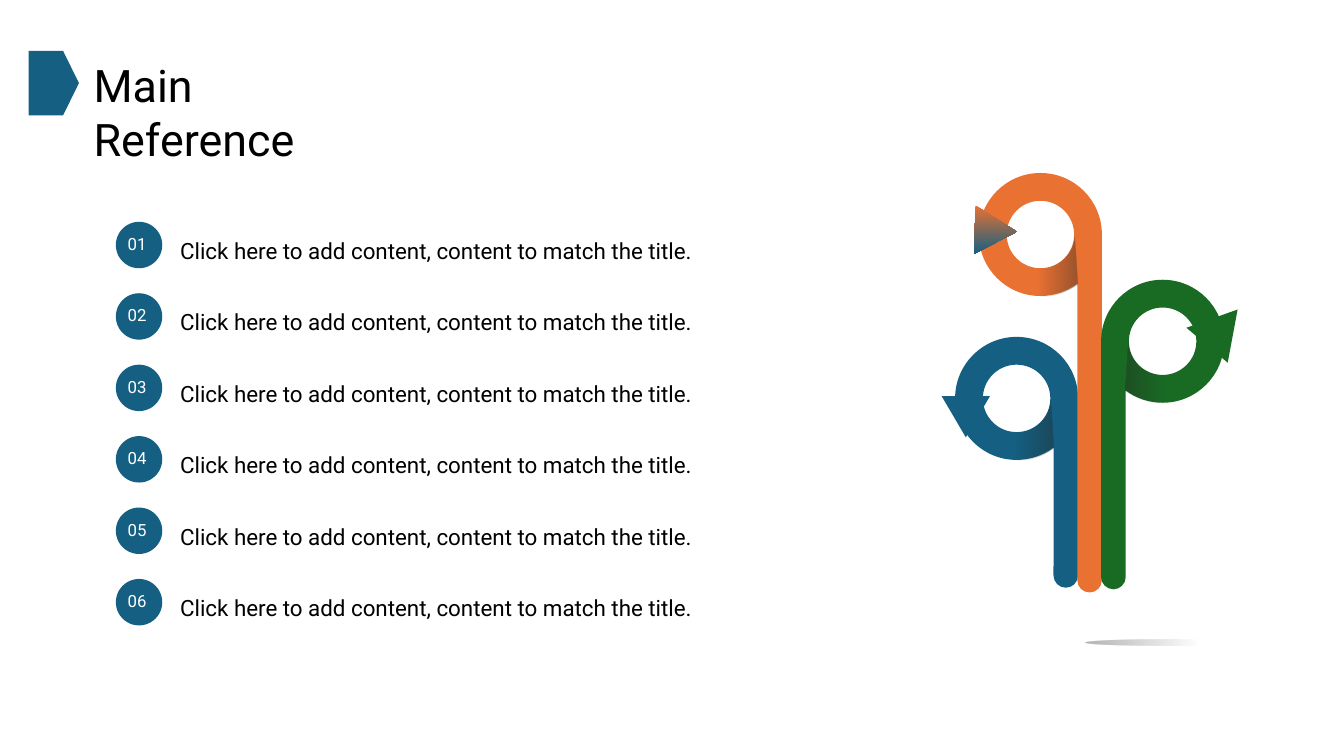
from math import cos, radians, sin, tan

from lxml import etree
from pptx import Presentation
from pptx.dml.color import RGBColor
from pptx.enum.shapes import MSO_SHAPE
from pptx.enum.text import MSO_AUTO_SIZE
from pptx.oxml.ns import qn
from pptx.util import Cm, Pt

PENTAGON = MSO_SHAPE.PENTAGON
OVAL = MSO_SHAPE.OVAL
GROW = MSO_AUTO_SIZE.SHAPE_TO_FIT_TEXT

BLUE, ORANGE, GREEN = "156082", "E97132", "196B24"
BLACK, WHITE, SHADE = "000000", "FFFFFF", "262626"

RING_OUTER, RING_INNER, STEM_WIDTH = 1.55, 0.85, 0.62
STEM_INNER = RING_OUTER - STEM_WIDTH
JOIN_ANGLE, SHADE_END = 53, 121


def rgb(color):
    return RGBColor.from_string(color)


def corners(*points):
    """Straight steps, each holding one point."""
    return [(point,) for point in points]


def arc(center, radius, start, end, side=1):
    """A straight step to the start, then Bezier steps split at each quadrant.

    Angles run clockwise from the stem side.
    """
    def place(angle, reach=0):
        a = radians(angle)
        return (center[0] + side * radius * (cos(a) - reach * sin(a)),
                center[1] + radius * (sin(a) + reach * cos(a)))

    low, high = sorted((start, end))
    quadrants = [a for a in range(-360, 361, 90) if low < a < high]
    angles = sorted([start, *quadrants, end], reverse=start > end)
    steps = corners(place(start))
    for a, b in zip(angles, angles[1:]):
        reach = 4 / 3 * tan(radians(b - a) / 4)
        steps.append((place(a, reach), place(b, -reach), place(b)))
    return steps


class Deck:
    font = "Roboto"

    def __init__(self):
        self.presentation = Presentation()
        self.presentation.slide_width = Cm(33.87)
        self.presentation.slide_height = Cm(19.05)
        blank = self.presentation.slide_layouts[6]
        self.slide = self.presentation.slides.add_slide(blank)

    def paint(self, shape, color):
        shape.shadow.inherit = False
        shape.line.fill.background()
        shape.fill.solid()
        shape.fill.fore_color.rgb = rgb(color)
        return shape

    def fade(self, shape, stops, angle):
        """Gradient from (position, color, opacity) stops, angle counterclockwise."""
        shape.fill.gradient()
        shape.fill.gradient_angle = angle
        for stop, (position, color, opacity) in zip(shape.fill.gradient_stops, stops):
            stop.position = position
            stop.color.rgb = rgb(color)
        colors = shape._element.spPr.findall(".//" + qn("a:gs") + "/" + qn("a:srgbClr"))
        for element, (position, color, opacity) in zip(colors, stops):
            if opacity < 1:
                alpha = etree.SubElement(element, qn("a:alpha"))
                alpha.set("val", str(round(opacity * 100000)))

    def preset(self, kind, left, top, width, height, color):
        shape = self.slide.shapes.add_shape(
            kind, Cm(left), Cm(top), Cm(width), Cm(height))
        return self.paint(shape, color)

    def outline(self, contours, color):
        """Closed shape from contours of straight and Bezier steps."""
        builder = None
        for contour in contours:
            start, *rest = [(Cm(x), Cm(y)) for step in contour for x, y in step]
            if builder is None:
                builder = self.slide.shapes.build_freeform(*start, scale=1.0)
            else:
                builder.move_to(*start)
            builder.add_line_segments(rest, close=True)
        shape = builder.convert_to_shape()
        self.bend(shape, [step for contour in contours for step in contour[1:]])
        return self.paint(shape, color)

    def bend(self, shape, steps):
        """Merge the three lines of each Bezier step into one curve."""
        lines = iter(shape._element.spPr.findall(".//" + qn("a:lnTo")))
        for step in steps:
            first, *others = [next(lines) for point in step]
            if others:
                first.addprevious(curve := etree.Element(qn("a:cubicBezTo")))
                for line in (first, *others):
                    curve.append(line[0])
                    line.getparent().remove(line)

    def text(self, words, left, top, width, height, size, color, spacing=None):
        box = self.slide.shapes.add_textbox(Cm(left), Cm(top), Cm(width), Cm(height))
        frame = box.text_frame
        frame.word_wrap = True
        frame.auto_size = GROW
        paragraph = frame.paragraphs[0]
        if spacing:
            paragraph.line_spacing = spacing
        run = paragraph.add_run()
        run.text = words
        run.font.name = self.font
        run.font.size = Pt(size)
        run.font.color.rgb = rgb(color)

    def item(self, number, top):
        self.preset(OVAL, 2.92, top, 1.17, 1.17, BLUE)
        self.text(f"{number:02}", 2.97, top + 0.17, 1.07, 0.76, 12, WHITE)
        self.text("Click here to add content, content to match the title.",
                  4.29, top - 0.42, 20.22, 1.45, 16, BLACK, spacing=2.0)

    def curl(self, center, bottom, side, color):
        """Ring running into a stem; side is 1 for a stem on the right, -1 on the left."""
        foot = (center[0] + side * (STEM_INNER + STEM_WIDTH / 2), bottom - STEM_WIDTH / 2)
        ring = arc(center, RING_OUTER, 0, JOIN_ANGLE - 360, side)
        stem_end = arc(foot, STEM_WIDTH / 2, 180, 0, side)
        hole = arc(center, RING_INNER, 0, 360)
        self.outline([ring + stem_end, hole], color)

    def curl_shade(self, center, side):
        outer = arc(center, RING_OUTER, JOIN_ANGLE, SHADE_END, side)
        inner = arc(center, RING_INNER, SHADE_END, 0, side)
        shade = self.outline([outer + inner], SHADE)
        self.fade(shade, [(0, SHADE, 0.4), (0.57, SHADE, 0)], 180 if side > 0 else 0)


def main():
    deck = Deck()
    deck.text("Main Reference", 2.11, 1.33, 7.8, 1.63, 32, BLACK)
    title_marker = deck.preset(PENTAGON, 0.72, 1.28, 1.27, 1.63, BLUE)
    title_marker.adjustments[0] = 0.315

    for index in range(6):
        deck.item(index + 1, 5.59 + 1.8 * index)

    ground = deck.preset(OVAL, 27.36, 16.12, 4.29, 0.15, SHADE)
    deck.fade(ground, [(0, SHADE, 0.35), (0.66, SHADE, 0)], 0)

    curls = [
        ((25.62, 10.04), 14.81, 1, BLUE),
        ((26.22, 5.91), 14.93, 1, ORANGE),
        ((29.3, 8.6), 14.85, -1, GREEN),
    ]
    for curl in curls:
        deck.curl(*curl)

    deck.outline([corners((24.95, 9.98), (24.34, 11.02), (23.73, 9.98))], BLUE)
    orange_head = deck.outline(
        [corners((25.63, 5.84), (24.54, 6.4), (24.59, 5.18))], ORANGE)
    deck.fade(orange_head, [(0, ORANGE, 1), (1, BLUE, 1)], 270)
    deck.outline([corners((31.19, 7.8), (30.94, 9.14), (29.9, 8.26))], GREEN)

    for center, bottom, side, color in curls:
        deck.curl_shade(center, side)

    deck.presentation.save("out.pptx")


if __name__ == "__main__":
    main()
